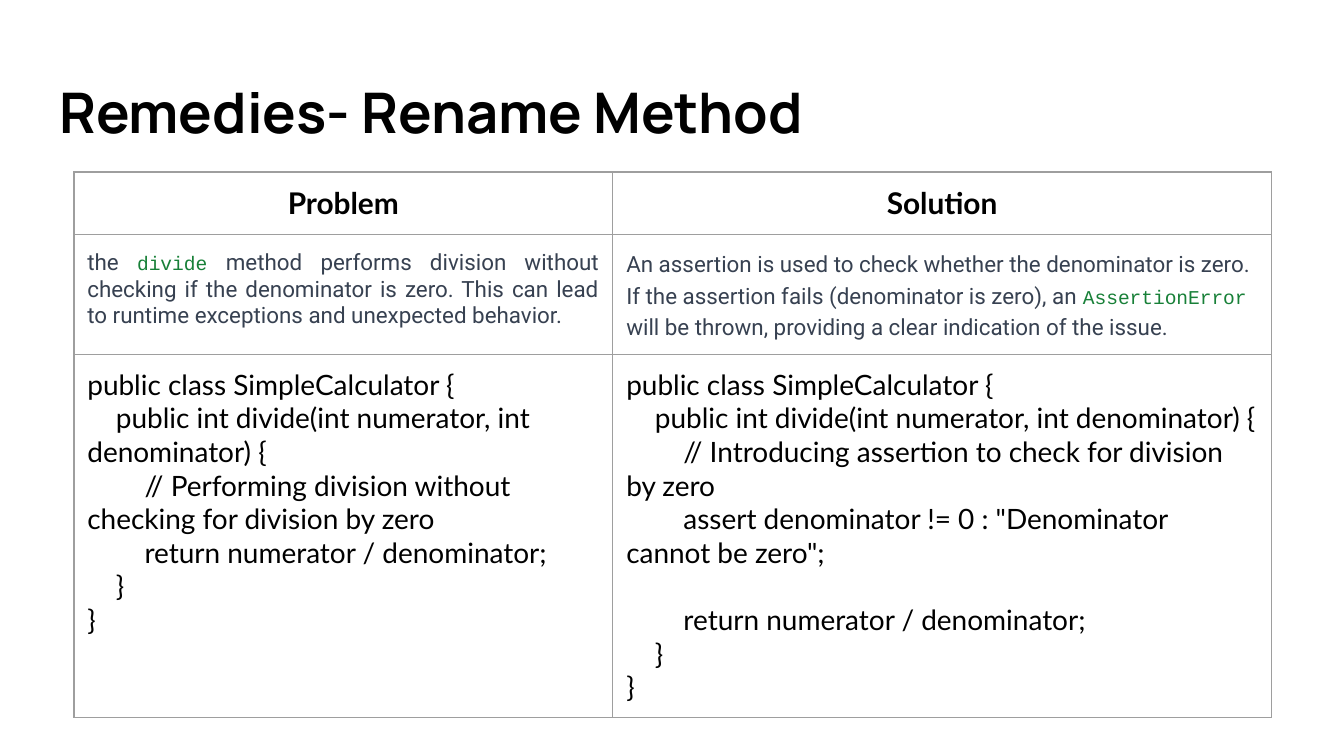
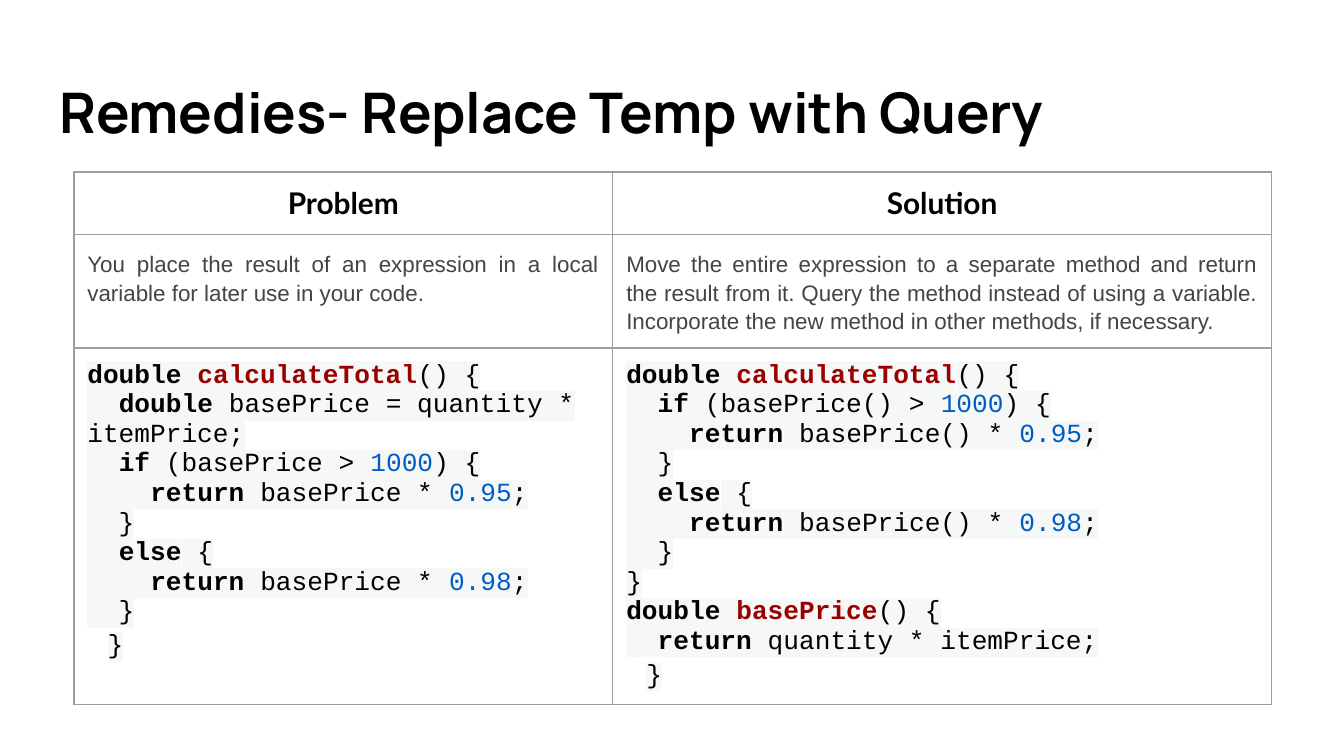
import pptx
import pptx.dml.color
import pptx.enum.text
import pptx.oxml
import pptx.oxml.ns
import pptx.util
from pptx.util import Inches

COLORS = {
    "text": "000000",
    "note": "374151",
    "note_code": "188038",
    "summary": "444444",
    "function": "990000",
    "number": "005CC5",
    "code_back": "F6F8F8",
    "white": "FFFFFF",
    "border": "9E9E9E",
}

# Font, size, colour, bold, highlight
STYLES = {
    "title": ("Manrope", 30, "text", True, None),
    "heading": ("Lato", 16, "text", True, None),
    "note": ("Roboto", 12, "note", False, None),
    "note_space": ("Roboto", 13, "note", False, None),
    "note_code": ("Courier New", 10.5, "note_code", False, None),
    "summary": ("Arial", 12, "summary", False, "white"),
    "listing": ("Lato", 15, "text", False, None),
    "code": ("Courier New", 14, "text", False, "code_back"),
    "keyword": ("Courier New", 14, "text", True, "code_back"),
    "function": ("Courier New", 14, "function", True, "code_back"),
    "number": ("Courier New", 14, "number", False, "code_back"),
}

CENTER = {"alignment": pptx.enum.text.PP_ALIGN.CENTER}
JUSTIFY = {"alignment": pptx.enum.text.PP_ALIGN.JUSTIFY}
LOOSE = {"line_spacing": 1.15}
AFTER_GAP = {"space_before": pptx.util.Pt(18)}
CLOSING = {"line_spacing": 1.15, "indent": Inches(0.15)}


def write_paragraphs(text_frame, paragraphs):
    """Write (runs, layout) pairs, where each run is a (style name, text) pair."""
    for index, (runs, layout) in enumerate(paragraphs):
        paragraph = text_frame.paragraphs[0] if index == 0 else text_frame.add_paragraph()
        paragraph.alignment = layout.get("alignment", pptx.enum.text.PP_ALIGN.LEFT)
        paragraph.line_spacing = layout.get("line_spacing")
        paragraph.space_before = layout.get("space_before")
        if "indent" in layout:
            properties = paragraph._p.get_or_add_pPr()
            properties.set("marL", str(layout["indent"]))
            properties.set("indent", "0")
        for style, text in runs:
            font_name, size, color, bold, highlight = STYLES[style]
            run = paragraph.add_run()
            run.text = text
            run.font.name = font_name
            run.font.size = pptx.util.Pt(size)
            run.font.bold = bold
            run.font.color.rgb = pptx.dml.color.RGBColor.from_string(COLORS[color])
            if highlight:
                fill = run._r.get_or_add_rPr().find(pptx.oxml.ns.qn("a:solidFill"))
                fill.addnext(pptx.oxml.parse_xml(
                    f'<a:highlight {pptx.oxml.ns.nsdecls("a")}>'
                    f'<a:srgbClr val="{COLORS[highlight]}"/></a:highlight>'))


def price_branches(base):
    """Return the code lines that choose the discount for the base price."""
    lines = []
    for opening, factor in (
        ([("keyword", "if"), ("code", f" ({base} > "), ("number", "1000"), ("code", ") {")], "0.95"),
        ([("keyword", "else"), ("code", " {")], "0.98"),
    ):
        lines += [
            [("code", "  "), *opening],
            [("code", "    "), ("keyword", "return"), ("code", f" {base} * "),
             ("number", factor), ("code", ";")],
            [("code", "  }")],
        ]
    return [(runs, {}) for runs in lines]


divide_start = [
    ([("listing", "public class SimpleCalculator {")], {}),
    ([("listing", "    public int divide(int numerator, int denominator) {")], {}),
]
divide_return = [("listing", "        return numerator / denominator;")]
divide_end = [([("listing", "    }")], {}), ([("listing", "}")], {})]
total_start, base_price_start = [
    ([("keyword", "double"), ("code", " "), ("function", name), ("code", "() {")], {})
    for name in ("calculateTotal", "basePrice")
]
code_end = ([("code", "}")], CLOSING)

headings = [[([("heading", name)], CENTER)] for name in ("Problem", "Solution")]

remedies = [
    {
        "title": "Remedies- Rename Method",
        "row_heights": (0.38, 0.72, 2.2),
        "table_height": 4.06,
        "descriptions": [
            [([("note", "the "), ("note_code", "divide"), ("note_space", " "),
               ("note", "method performs division without checking if the denominator is zero. "
                        "This can lead to runtime exceptions and unexpected behavior.")], JUSTIFY)],
            [([("note", "An assertion is used to check whether the denominator is zero. "
                        "If the assertion fails (denominator is zero), an "),
               ("note_code", "AssertionError"), ("note_space", " "),
               ("note", "will be thrown, providing a clear indication of the issue.")], LOOSE)],
        ],
        "code": [
            [*divide_start,
             ([("listing", "        // Performing division without checking for division by zero")], {}),
             (divide_return, {}),
             *divide_end],
            [*divide_start,
             ([("listing", "        // Introducing assertion to check for division by zero")], {}),
             ([("listing", '        assert denominator != 0 : "Denominator cannot be zero";')], {}),
             (divide_return, AFTER_GAP),
             *divide_end],
        ],
    },
    {
        "title": "Remedies- Replace Temp with Query",
        "row_heights": (0.43, 0.59, 1.95),
        "table_height": 4.13,
        "descriptions": [
            [([("summary", text)], {**JUSTIFY, **LOOSE})]
            for text in (
                "You place the result of an expression in a local variable for later use in your code.",
                "Move the entire expression to a separate method and return the result from it. "
                "Query the method instead of using a variable. "
                "Incorporate the new method in other methods, if necessary.",
            )
        ],
        "code": [
            [total_start,
             ([("code", "  "), ("keyword", "double"), ("code", " basePrice = quantity * itemPrice;")], {}),
             *price_branches("basePrice"),
             code_end],
            [total_start,
             *price_branches("basePrice()"),
             ([("code", "}")], {}),
             base_price_start,
             ([("code", "  "), ("keyword", "return"), ("code", " quantity * itemPrice;")], {}),
             code_end],
        ],
    },
]

presentation = pptx.Presentation()
presentation.slide_width = Inches(10)
presentation.slide_height = Inches(10 * 9 / 16)
title_only = presentation.slide_layouts[5]
margin = Inches(0.1)

for remedy in remedies:
    slide = presentation.slides.add_slide(title_only)

    title = slide.shapes.title
    title.left, title.top = Inches(0.34), Inches(0.49)
    title.width, title.height = Inches(9.32), Inches(0.68)
    frame = title.text_frame
    frame.margin_left = frame.margin_right = frame.margin_top = frame.margin_bottom = margin
    frame.vertical_anchor = pptx.enum.text.MSO_ANCHOR.MIDDLE
    frame.auto_size = pptx.enum.text.MSO_AUTO_SIZE.NONE
    frame.word_wrap = True
    write_paragraphs(frame, [([("title", remedy["title"])], {})])

    table_shape = slide.shapes.add_table(
        3, 2, Inches(0.55), Inches(1.28), Inches(8.9), Inches(remedy["table_height"]))
    table = table_shape.table
    table.first_row = False
    table.horz_banding = False
    for column, width in zip(table.columns, (4.01, 4.9)):
        column.width = Inches(width)
    for row, height in zip(table.rows, remedy["row_heights"]):
        row.height = Inches(height)
    table_shape.width = Inches(8.9)
    table_shape.height = Inches(remedy["table_height"])

    contents = [headings, remedy["descriptions"], remedy["code"]]
    for row, row_contents in zip(table.rows, contents):
        for cell, paragraphs in zip(row.cells, row_contents):
            cell.margin_left = cell.margin_right = cell.margin_top = cell.margin_bottom = margin
            cell.fill.background()
            write_paragraphs(cell.text_frame, paragraphs)
            for index, side in enumerate(("lnL", "lnR", "lnT", "lnB")):
                border = pptx.oxml.parse_xml(
                    f'<a:{side} {pptx.oxml.ns.nsdecls("a")} w="{pptx.util.Pt(0.75)}">'
                    f'<a:solidFill><a:srgbClr val="{COLORS["border"]}"/></a:solidFill></a:{side}>')
                cell._tc.get_or_add_tcPr().insert(index, border)

presentation.save("out.pptx")
